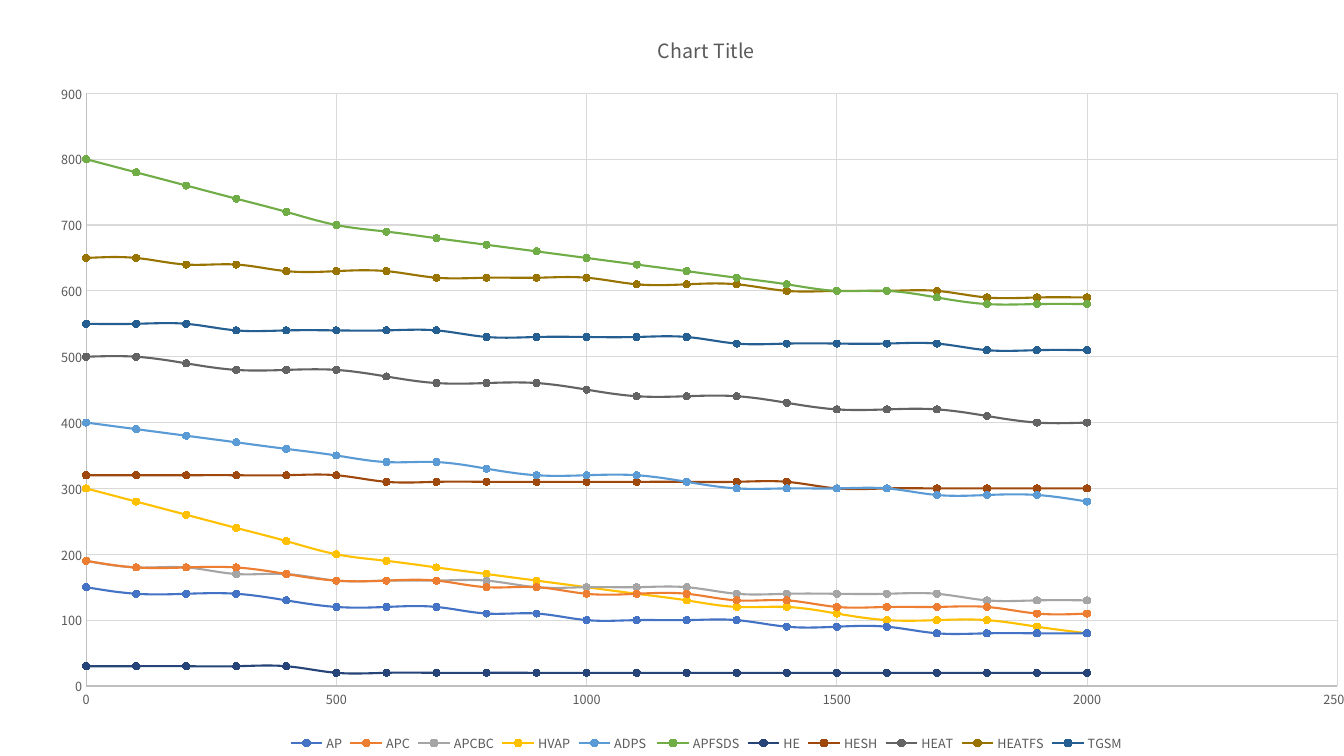
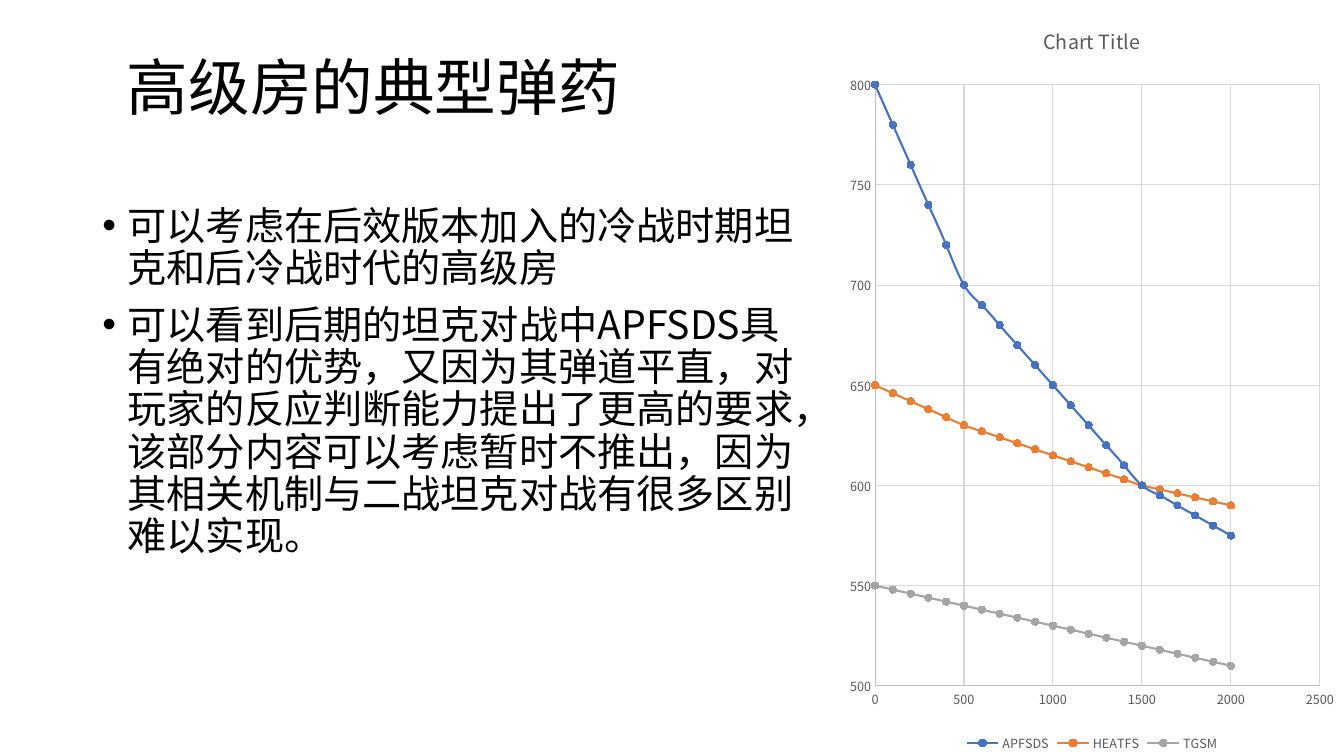
from itertools import accumulate, chain, repeat

from lxml.etree import SubElement
from pptx import Presentation
from pptx.chart.data import XyChartData
from pptx.dml.color import RGBColor
from pptx.enum.chart import (
    XL_CHART_TYPE, XL_LEGEND_POSITION, XL_MARKER_STYLE, XL_TICK_MARK)
from pptx.enum.lang import MSO_LANGUAGE_ID
from pptx.enum.text import MSO_ANCHOR
from pptx.oxml.ns import qn
from pptx.util import Inches, Pt

# Shared style
FONT = "Noto Sans CJK SC"
BLACK = RGBColor(0x00, 0x00, 0x00)
LABEL_GREY = RGBColor(0x59, 0x59, 0x59)
AXIS_GREY = RGBColor(0xBF, 0xBF, 0xBF)
GRID_GREY = RGBColor(0xD9, 0xD9, 0xD9)
SERIES_COLORS = [RGBColor.from_string(code) for code in (
    "4472C4", "ED7D31", "A5A5A5", "FFC000", "5B9BD5", "70AD47",
    "264478", "9E480E", "636363", "997300", "255E91")]

# Penetration of each shell: value at 0 m, then (steps of 100 m, loss per step)
SHELLS = {
    "AP": (150, [(8, 5), (8, 3), (4, 2)]),
    "APC": (190, [(5, 5), (10, 4), (5, 3)]),
    "APCBC": (188, [(4, 5), (6, 3), (10, 2)]),
    "HVAP": (300, [(5, 20), (8, 10), (7, 5)]),
    "ADPS ": (400, [(6, 10), (7, 5), (7, 3)]),
    "APFSDS": (800, [(5, 20), (10, 10), (5, 5)]),
    "HE": (30, [(6, 1), (14, 0.5)]),
    "HESH": (320, [(20, 1)]),
    "HEAT": (500, [(20, 5)]),
    "HEATFS": (650, [(5, 4), (10, 3), (5, 2)]),
    "TGSM": (550, [(20, 2)]),
}
DISTANCE_STEP = 100

# One chart per slide: shells, frame in percent of the slide,
# decimal places of the values (-1 means tens), value range
CHARTS = [
    (list(SHELLS), (2.55, 1.2, 100, 98.8), -1, None),
    (["APFSDS", "HEATFS", "TGSM"], (62.5, 0, 37.5, 100), 0, (500, 800)),
]

# Text boxes of the second slide: frame in percent, anchor, size, bullets, lines
TEXTS = [
    ((8.7, 2.27, 47.55, 19.33), MSO_ANCHOR.MIDDLE, 44, False,
     ["高级房的典型弹药"]),
    ((6.88, 26.67, 54, 63.47), MSO_ANCHOR.TOP, 28, True,
     ["可以考虑在后效版本加入的冷战时期坦克和后冷战时代的高级房",
      "可以看到后期的坦克对战中APFSDS具有绝对的优势，又因为其弹道平直，"
      "对玩家的反应判断能力提出了更高的要求，该部分内容可以考虑暂时不推出，"
      "因为其相关机制与二战坦克对战有很多区别难以实现。"]),
]

deck = Presentation()
deck.slide_width, deck.slide_height = Inches(13.33), Inches(7.5)


def frame(left, top, width, height):
    """Turn percentages of the slide into lengths."""
    across, down = deck.slide_width / 100, deck.slide_height / 100
    return (int(left * across), int(top * down),
            int(width * across), int(height * down))


def style_font(font, size, color):
    font.name, font.size, font.bold = FONT, Pt(size), False
    font.color.rgb = color


pages = [deck.slides.add_slide(deck.slide_layouts[6]) for _ in CHARTS]

# Title and bullets
for area, anchor, size, bulleted, lines in TEXTS:
    box = pages[1].shapes.add_textbox(*frame(*area))
    text = box.text_frame
    text.word_wrap = True
    text.vertical_anchor = anchor
    for number, line in enumerate(lines):
        para = text.add_paragraph() if number else text.paragraphs[0]
        para.line_spacing = 0.9
        if bulleted:
            para.space_before = Pt(10)
            properties = para._p.get_or_add_pPr()
            properties.set("marL", str(Inches(0.25)))
            properties.set("indent", str(-Inches(0.25)))
            SubElement(properties, qn("a:buFont"), typeface="Arial")
            SubElement(properties, qn("a:buChar"), char="•")
        span = para.add_run()
        span.text = line
        style_font(span.font, size, BLACK)
        span.font.language_id = MSO_LANGUAGE_ID.SIMPLIFIED_CHINESE
        SubElement(span._r.get_or_add_rPr(), qn("a:ea"), typeface=FONT)

# Charts
for page, (names, area, places, value_range) in zip(pages, CHARTS):
    data = XyChartData()
    for name in names:
        start, slopes = SHELLS[name]
        losses = chain.from_iterable(repeat(-loss, steps) for steps, loss in slopes)
        points = data.add_series(name)
        for step, value in enumerate(accumulate(losses, initial=start)):
            points.add_data_point(step * DISTANCE_STEP, int(round(value, places)))
    chart = page.shapes.add_chart(
        XL_CHART_TYPE.XY_SCATTER_SMOOTH, *frame(*area), data).chart
    style_font(chart.font, 10, BLACK)

    # Chart title and legend
    chart.has_title = True
    span = chart.chart_title.text_frame.paragraphs[0].add_run()
    span.text = "Chart Title"
    style_font(span.font, 14, LABEL_GREY)
    chart.has_legend = True
    chart.legend.position = XL_LEGEND_POSITION.BOTTOM
    chart.legend.include_in_layout = False
    style_font(chart.legend.font, 9, LABEL_GREY)

    # Axes and grid
    for axis in (chart.category_axis, chart.value_axis):
        axis.major_tick_mark = axis.minor_tick_mark = XL_TICK_MARK.NONE
        axis.has_major_gridlines = True
        style_font(axis.tick_labels.font, 9, LABEL_GREY)
        for line, color in ((axis.format.line, AXIS_GREY),
                            (axis.major_gridlines.format.line, GRID_GREY)):
            line.width = Pt(0.75)
            line.color.rgb = color
    if value_range:
        chart.value_axis.minimum_scale, chart.value_axis.maximum_scale = value_range

    # Smooth lines with round markers
    chart.plots[0].vary_by_categories = False
    for series, color in zip(chart.plots[0].series, SERIES_COLORS):
        series.format.line.width = Pt(1.5)
        series.format.line.color.rgb = color
        series.marker.style = XL_MARKER_STYLE.CIRCLE
        series.marker.size = 5
        series.marker.format.fill.solid()
        series.marker.format.fill.fore_color.rgb = color
        series.marker.format.line.color.rgb = color
        for smooth in series._element.iter(qn("c:smooth")):
            smooth.set("val", "1")

deck.save("out.pptx")
